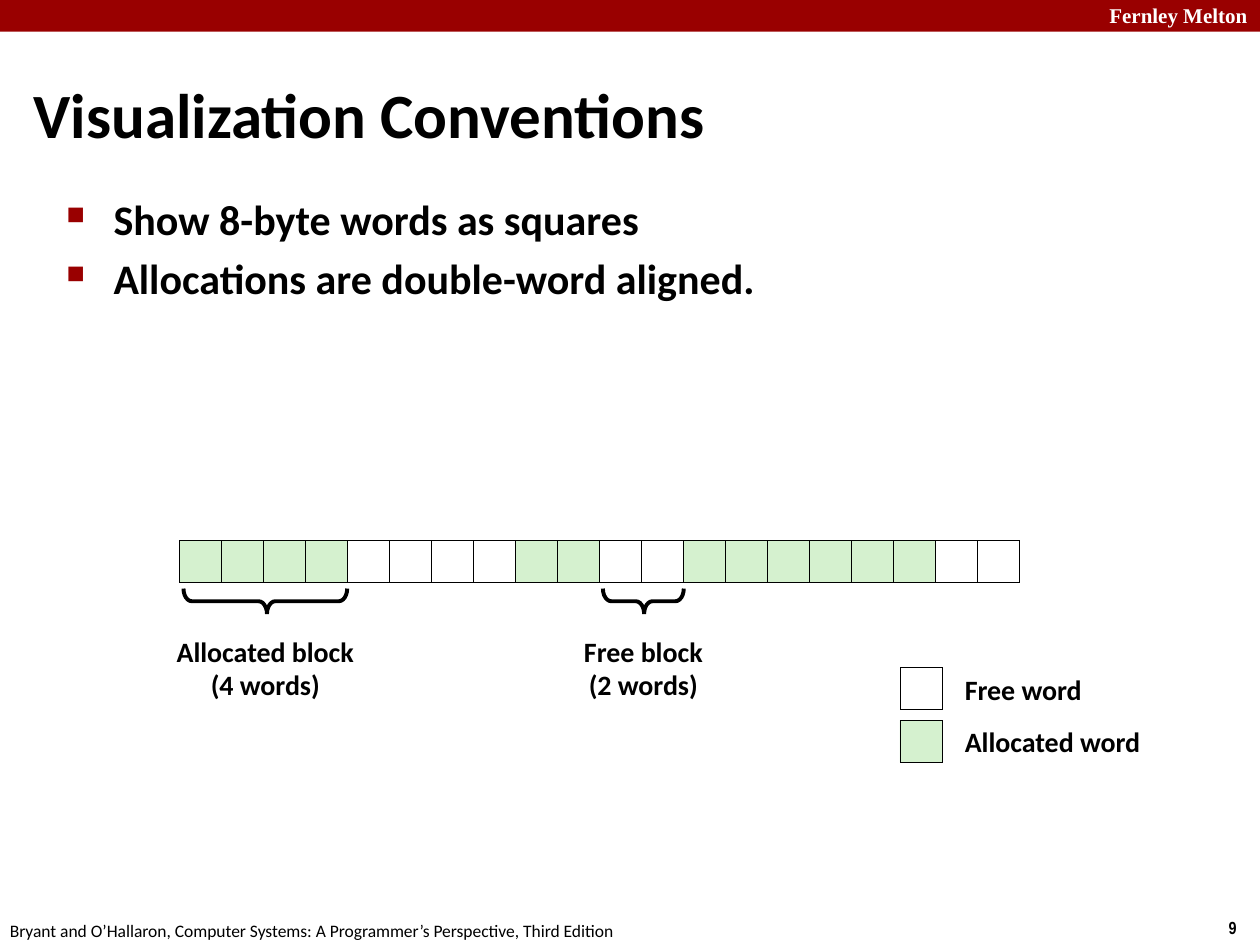
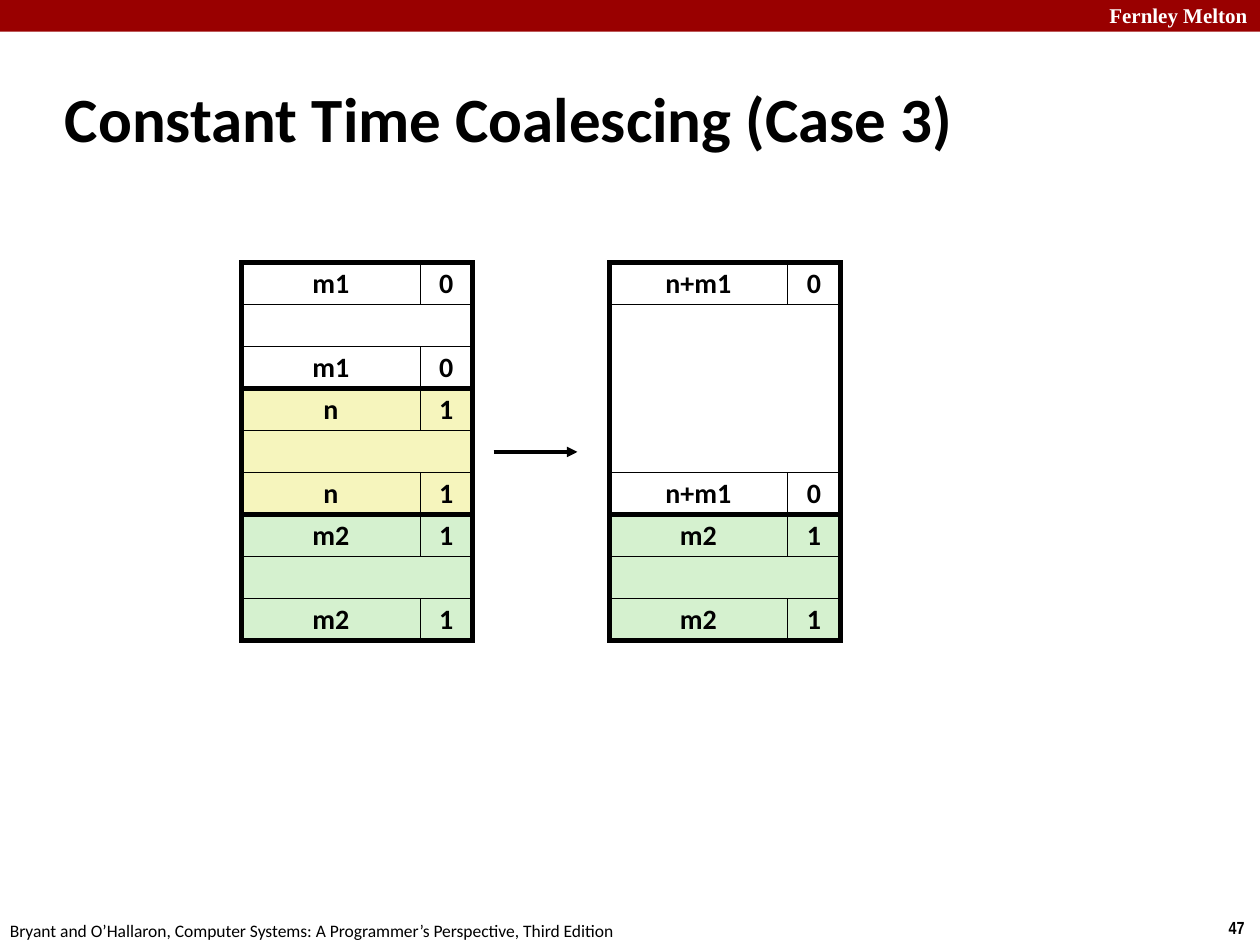
from dataclasses import dataclass

from lxml import etree
from pptx import Presentation
from pptx import util as u
from pptx.dml.color import RGBColor
from pptx.enum import shapes, text
from pptx.oxml.ns import qn

COLORS = {
    "band": "990000",
    "ink": "000000",
    "white": "FFFFFF",
    "free": "FFFFFF",
    "allocated": "D5F1CF",
    "current": "F6F5BD",
}
SLIDE_W, SLIDE_H = u.Cm(25.4), u.Cm(19.05)
WORD = SLIDE_W // 30  # side of one memory word
THIN, BRACE_LINE, ARROW_LINE, THICK = u.Pt(0.25), u.Pt(2.25), u.Pt(2), u.Pt(3)
SIZE_W, FLAG_W = WORD * 17 // 4, WORD * 5 // 4  # the two fields of a boundary tag
INSTITUTION = "Fernley Melton"
CREDIT = "Bryant and O’Hallaron, Computer Systems: A Programmer’s Perspective, Third Edition"


@dataclass(frozen=True)
class Style:
    size: float
    font: str = "Calibri"
    color: str = "ink"
    bold: bool = True
    align: text.PP_ALIGN = text.PP_ALIGN.LEFT
    anchor: text.MSO_ANCHOR = text.MSO_ANCHOR.TOP
    spacing: float = 1.0


TITLE = Style(36, anchor=text.MSO_ANCHOR.MIDDLE)
BULLET = Style(24)
LABEL = Style(16, spacing=0.98)
CAPTION = Style(16, align=text.PP_ALIGN.CENTER, spacing=0.98)
TAG = Style(16, align=text.PP_ALIGN.CENTER, anchor=text.MSO_ANCHOR.MIDDLE, spacing=0.98)
HEADER = Style(12, "Times New Roman", "white", align=text.PP_ALIGN.RIGHT)
PAGE = Style(10, "Arial Narrow")
FOOTER = Style(10, bold=False)


@dataclass(frozen=True)
class Run:
    """Neighbouring words of the heap that share one state."""
    words: int
    state: str


@dataclass(frozen=True)
class Brace:
    center: float
    span: float
    caption: str


@dataclass(frozen=True)
class Block:
    size: str
    flag: str
    state: str
    words: int = 3


@dataclass(frozen=True)
class Column:
    left: float
    blocks: tuple[Block, ...]


HEAP = (Run(4, "allocated"), Run(4, "free"), Run(2, "allocated"),
        Run(2, "free"), Run(6, "allocated"), Run(2, "free"))
BRACES = (Brace(5.35, 3.3, "Allocated block\n(4 words)"),
          Brace(12.97, 1.63, "Free block\n(2 words)"))
LEGEND = (("free", "Free word"), ("allocated", "Allocated word"))
COLUMNS = (
    Column(4.87, (Block("m1", "0", "free"), Block("n", "1", "current"),
                  Block("m2", "1", "allocated"))),
    Column(12.28, (Block("n+m1", "0", "free", 6), Block("m2", "1", "allocated"))),
)


def rgb(name: str) -> RGBColor:
    return RGBColor.from_string(COLORS[name])


def set_text(sp, content: str, style: Style) -> None:
    tf = sp.text_frame
    tf.text = content
    tf.word_wrap = True
    tf.vertical_anchor = style.anchor
    for p in tf.paragraphs:
        p.alignment = style.align
        p.line_spacing = style.spacing
        for r in p.runs:
            r.font.size = u.Pt(style.size)
            r.font.name = style.font
            r.font.bold = style.bold
            r.font.color.rgb = rgb(style.color)


def add_text(s, left: float, top: float, width: float, height: float,
             content: str, style: Style):
    """Add a text box; lengths in centimetres."""
    sp = s.shapes.add_textbox(u.Cm(left), u.Cm(top), u.Cm(width), u.Cm(height))
    set_text(sp, content, style)
    return sp


def add_box(s, left: int, top: int, width: int, height: int, fill: str | None,
            line: int | None = THIN, kind=shapes.MSO_SHAPE.RECTANGLE):
    """Add a preset shape; lengths in EMU, None for no fill or no line."""
    sp = s.shapes.add_shape(kind, left, top, width, height)
    sp.shadow.inherit = False
    if fill:
        sp.fill.solid()
        sp.fill.fore_color.rgb = rgb(fill)
    else:
        sp.fill.background()
    if line:
        sp.line.color.rgb = rgb("ink")
        sp.line.width = line
        etree.SubElement(sp.line._get_or_add_ln(), qn("a:miter"), lim="800000")
    else:
        sp.line.fill.background()
    return sp


def add_bullets(s, content: str) -> None:
    sp = add_text(s, 1.09, 3.78, 21.95, 13.82, content, BULLET)
    for p in sp.text_frame.paragraphs:
        p.space_before = u.Pt(0.2 * BULLET.size)
        pPr = p._p.get_or_add_pPr()
        pPr.set("marL", str(u.Cm(0.95)))
        pPr.set("indent", str(-u.Cm(0.95)))
        color = etree.SubElement(pPr, qn("a:buClr"))
        etree.SubElement(color, qn("a:srgbClr"), val=COLORS["band"])
        etree.SubElement(pPr, qn("a:buSzPct"), val="60000")
        etree.SubElement(pPr, qn("a:buChar"), char="■")


def add_arrow(s, x1: float, x2: float, y: float) -> None:
    c = s.shapes.add_connector(shapes.MSO_CONNECTOR.STRAIGHT,
                               u.Cm(x1), u.Cm(y), u.Cm(x2), u.Cm(y))
    c.line.color.rgb = rgb("ink")
    c.line.width = ARROW_LINE
    etree.SubElement(c.line._get_or_add_ln(), qn("a:tailEnd"), type="triangle")
    etree.SubElement(c._element.spPr, qn("a:effectLst"))


def add_brace(s, brace: Brace) -> None:
    """Draw a brace that opens upwards, with its caption below."""
    depth, span = u.Cm(0.51), u.Cm(brace.span)
    sp = add_box(s, u.Cm(brace.center) - depth // 2, u.Cm(12.12) - span // 2,
                 depth, span, None, BRACE_LINE, shapes.MSO_SHAPE.LEFT_BRACE)
    sp.rotation = 270
    sp.adjustments[0], sp.adjustments[1] = 0.33, 0.51
    add_text(s, brace.center - 2.5, 12.7, 5, 1.6, brace.caption, CAPTION)


def add_block(s, block: Block, left: int, top: int) -> int:
    """Draw header, payload, footer and outline; return the bottom edge."""
    width, height = SIZE_W + FLAG_W, block.words * WORD
    for y in (top, top + height - WORD):
        set_text(add_box(s, left, y, SIZE_W, WORD, block.state), block.size, TAG)
        set_text(add_box(s, left + SIZE_W, y, FLAG_W, WORD, block.state), block.flag, TAG)
    add_box(s, left, top + WORD, width, height - 2 * WORD, block.state)
    add_box(s, left, top, width, height, None, THICK)
    return top + height


def new_slide(prs, page: int):
    s = prs.slides.add_slide(prs.slide_layouts[6])
    add_box(s, 0, 0, SLIDE_W, u.Cm(0.64), "band", None)
    add_text(s, 19.4, -0.08, 6, 0.76, INSTITUTION, HEADER)
    add_text(s, 24.52, 18.37, 0.88, 0.68, str(page), PAGE)
    add_text(s, -0.05, 18.42, 13.5, 0.63, CREDIT, FOOTER)
    return s


def conventions_slide(prs) -> None:
    s = new_slide(prs, 9)
    add_text(s, 0.43, 1.22, 24.97, 2.11, "Visualization Conventions", TITLE)
    add_bullets(s, "Show 8-byte words as squares\nAllocations are double-word aligned.")
    states = [run.state for run in HEAP for _ in range(run.words)]
    for i, state in enumerate(states):
        add_box(s, u.Cm(3.62) + i * WORD, u.Cm(10.9), WORD, WORD, state)
    for brace in BRACES:
        add_brace(s, brace)
    for i, (state, label) in enumerate(LEGEND):
        top = 13.46 + 1.06 * i
        add_box(s, u.Cm(18.14), u.Cm(top), WORD, WORD, state)
        add_text(s, 19.2, top, 5, 0.94, label, LABEL)


def coalescing_slide(prs) -> None:
    s = new_slide(prs, 47)
    add_text(s, 1.06, 1.57, 23.29, 1.6, "Constant Time Coalescing (Case 3)", TITLE)
    for column in COLUMNS:
        top = u.Cm(5.29)
        for block in column.blocks:
            top = add_block(s, block, u.Cm(column.left), top)
    add_arrow(s, 9.95, 11.64, 9.11)


def main() -> None:
    prs = Presentation()
    prs.slide_width, prs.slide_height = SLIDE_W, SLIDE_H
    conventions_slide(prs)
    coalescing_slide(prs)
    prs.save("out.pptx")


if __name__ == "__main__":
    main()
